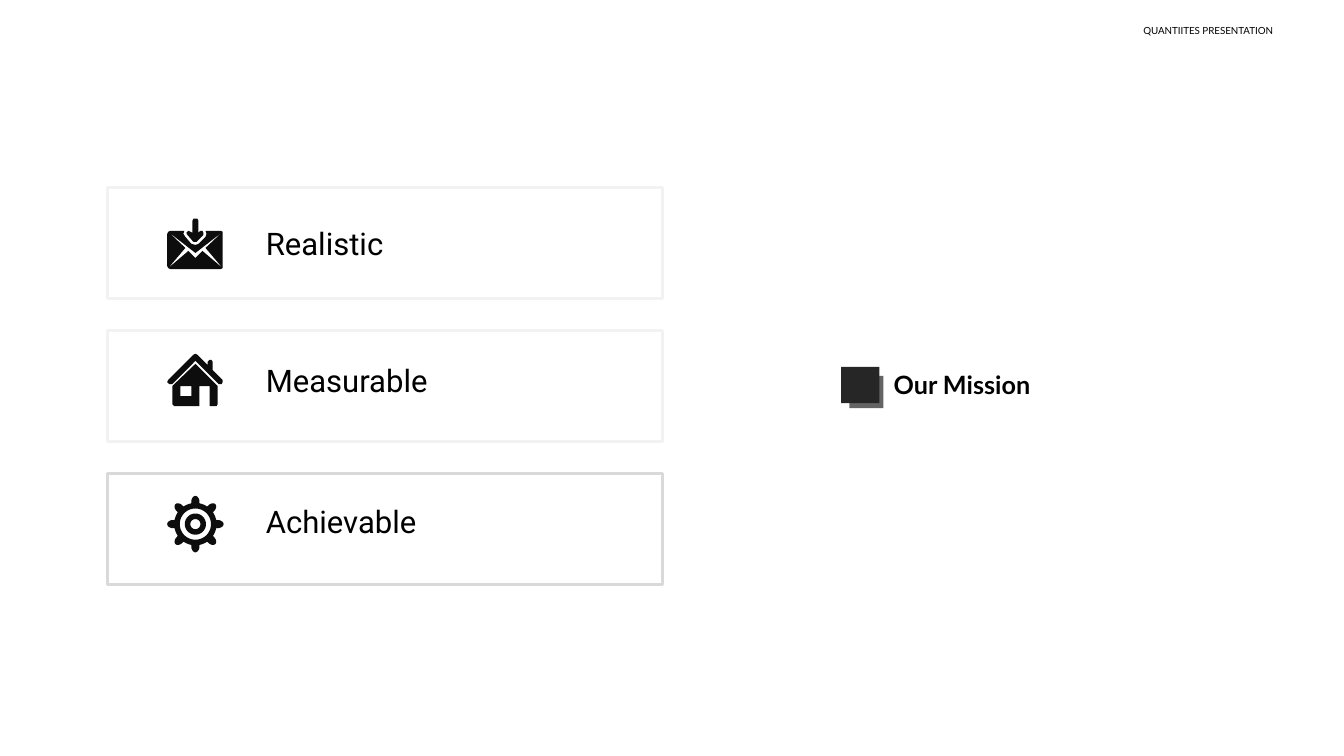
from dataclasses import dataclass
from math import cos, pi, sin

from pptx import Presentation
from pptx import util as u
from pptx.dml.color import RGBColor
from pptx.enum import shapes, text
from pptx.oxml.ns import qn
from lxml import etree


@dataclass(frozen=True)
class Theme:
    ink: str = "000000"
    icon: str = "0D0D0D"
    square: str = "262626"
    frame: str = "F2F2F2"
    frame_strong: str = "D9D9D9"
    heading_font: str = "Lato"
    label_font: str = "Roboto"
    header_size: float = 7
    title_size: float = 18
    label_size: float = 22.2
    frame_width: float = 2.25


THEME = Theme()
HEADER = "QUANTIITES PRESENTATION"
TITLE = "Our Mission"


def ring(center_x, center_y, radius_at, steps):
    """Closed outline whose radius is a function of the angle."""
    angles = [2 * pi * step / steps for step in range(steps)]
    return [(center_x + radius_at(a) * cos(a), center_y + radius_at(a) * sin(a))
            for a in angles]


def gear_radius(angle):
    return 0.21 + 0.07 * max(0, cos(8 * angle)) ** 0.6


# Icon outlines in inches; an outline inside another one is a hole.
ENVELOPE = [
    [(2.21, 2.66), (2.04, 2.46), (2.21, 2.3)],
    [(1.66, 2.64), (1.66, 2.32), (1.67, 2.3), (1.84, 2.46), (1.67, 2.66)],
    [(1.67, 2.3), (1.69, 2.29), (1.83, 2.29), (1.82, 2.32), (1.84, 2.35),
     (1.9, 2.42), (1.94, 2.43), (1.97, 2.42), (2.04, 2.35), (2.05, 2.32),
     (2.04, 2.29), (2.19, 2.29), (2.21, 2.3), (1.94, 2.51)],
    [(1.94, 2.4), (1.92, 2.4), (1.86, 2.33), (1.85, 2.31), (1.87, 2.29),
     (1.89, 2.3), (1.91, 2.31), (1.91, 2.19), (1.92, 2.17), (1.96, 2.17),
     (1.97, 2.19), (1.97, 2.31), (1.99, 2.29), (2.01, 2.29), (2.02, 2.31),
     (2.02, 2.33), (1.95, 2.4)],
    [(1.94, 2.56), (2.01, 2.49), (2.21, 2.66), (2.19, 2.67), (1.69, 2.67),
     (1.67, 2.66), (1.87, 2.49)],
]
HOUSE = [
    [(2.21, 3.79), (2.2, 3.81), (2.17, 3.81), (1.94, 3.58), (1.71, 3.81),
     (1.68, 3.81), (1.66, 3.79), (1.67, 3.77), (1.92, 3.52), (1.94, 3.51),
     (1.96, 3.52), (2.06, 3.62), (2.06, 3.59), (2.08, 3.57), (2.1, 3.57),
     (2.11, 3.59), (2.11, 3.67), (2.21, 3.77)],
    [(2.16, 3.83), (2.16, 4.01), (2.15, 4.03), (2.08, 4.03), (2.08, 3.83),
     (1.98, 3.83), (1.98, 4.03), (1.73, 4.03), (1.71, 4.01), (1.71, 3.83),
     (1.94, 3.61)],
    [(1.9, 3.83), (1.79, 3.83), (1.79, 3.93), (1.9, 3.93)],
]
GEAR = [ring(1.94, 5.2, gear_radius, 160)] + [
    ring(1.94, 5.2, lambda angle, radius=radius: radius, 60)
    for radius in (0.155, 0.105, 0.05)]

# label, label top, label width, frame colour, icon outlines
GOALS = [
    ("Realistic", 2.25, 2.14, THEME.frame, ENVELOPE),
    ("Measurable", 3.61, 2.64, THEME.frame, HOUSE),
    ("Achievable", 5.01, 2.51, THEME.frame_strong, GEAR),
]
FRAME_LEFT, FRAME_TOP, FRAME_PITCH = 1.07, 1.86, 1.42
FRAME_SIZE = (5.51, 1.1)
LABEL_LEFT, LABEL_HEIGHT = 2.54, 0.42

# left, top, width, height, opacity in percent
SQUARES = [(8.35, 3.64, 0.38, 0.36, 100), (8.43, 3.73, 0.34, 0.32, 71)]


def inches(values):
    return [u.Inches(value) for value in values]


def paint(shape, color):
    shape.shadow.inherit = False
    shape.fill.solid()
    shape.fill.fore_color.rgb = RGBColor.from_string(color)
    shape.line.fill.background()


def write(shape, words, font, size, line_spacing, bold=False):
    frame = shape.text_frame
    frame.text = words
    frame.word_wrap = True
    frame.auto_size = text.MSO_AUTO_SIZE.NONE
    frame.vertical_anchor = text.MSO_ANCHOR.TOP
    paragraph = frame.paragraphs[0]
    paragraph.alignment = text.PP_ALIGN.LEFT
    paragraph.line_spacing = line_spacing
    paragraph.space_before = u.Pt(10)
    style = paragraph.runs[0].font
    style.name, style.size, style.bold = font, u.Pt(size), bold
    style.color.rgb = RGBColor.from_string(THEME.ink)


def add_rectangle(slide, box):
    return slide.shapes.add_shape(shapes.MSO_SHAPE.RECTANGLE, *inches(box))


def add_frame(slide, top, color):
    frame = add_rectangle(slide, (FRAME_LEFT, top, *FRAME_SIZE))
    frame.shadow.inherit = False
    frame.fill.background()
    frame.line.color.rgb = RGBColor.from_string(color)
    frame.line.width = u.Pt(THEME.frame_width)


def add_icon(slide, outlines):
    builder = slide.shapes.build_freeform(*inches(outlines[0][0]))
    for index, outline in enumerate(outlines):
        points = [inches(point) for point in outline]
        if index:
            builder.move_to(*points[0])
        builder.add_line_segments(points[1:], close=True)
    paint(builder.convert_to_shape(), THEME.icon)


def add_square(slide, *box, opacity):
    square = add_rectangle(slide, box)
    paint(square, THEME.square)
    if opacity < 100:
        color = square.fill._xPr.find(qn("a:solidFill"))[0]
        etree.SubElement(color, qn("a:alpha"), val=str(opacity * 1000))


def main():
    presentation = Presentation()
    presentation.slide_width, presentation.slide_height = inches((13.34, 7.5))
    slide = presentation.slides.add_slide(presentation.slide_layouts[5])

    title = slide.shapes.title
    title.left, title.top, title.width, title.height = inches((8.77, 3.65, 2.11, 0.41))
    write(title, TITLE, THEME.heading_font, THEME.title_size, 0.9, bold=True)

    header = slide.shapes.add_textbox(*inches((11.25, 0.21, 1.93, 0.3)))
    write(header, HEADER, THEME.heading_font, THEME.header_size, 0.9)

    for row, (words, label_top, label_width, color, outlines) in enumerate(GOALS):
        add_frame(slide, FRAME_TOP + row * FRAME_PITCH, color)
        add_icon(slide, outlines)
        label = slide.shapes.add_textbox(
            *inches((LABEL_LEFT, label_top, label_width, LABEL_HEIGHT)))
        write(label, words, THEME.label_font, THEME.label_size, 0.8)

    for *box, opacity in SQUARES:
        add_square(slide, *box, opacity=opacity)

    presentation.save("out.pptx")


if __name__ == "__main__":
    main()
